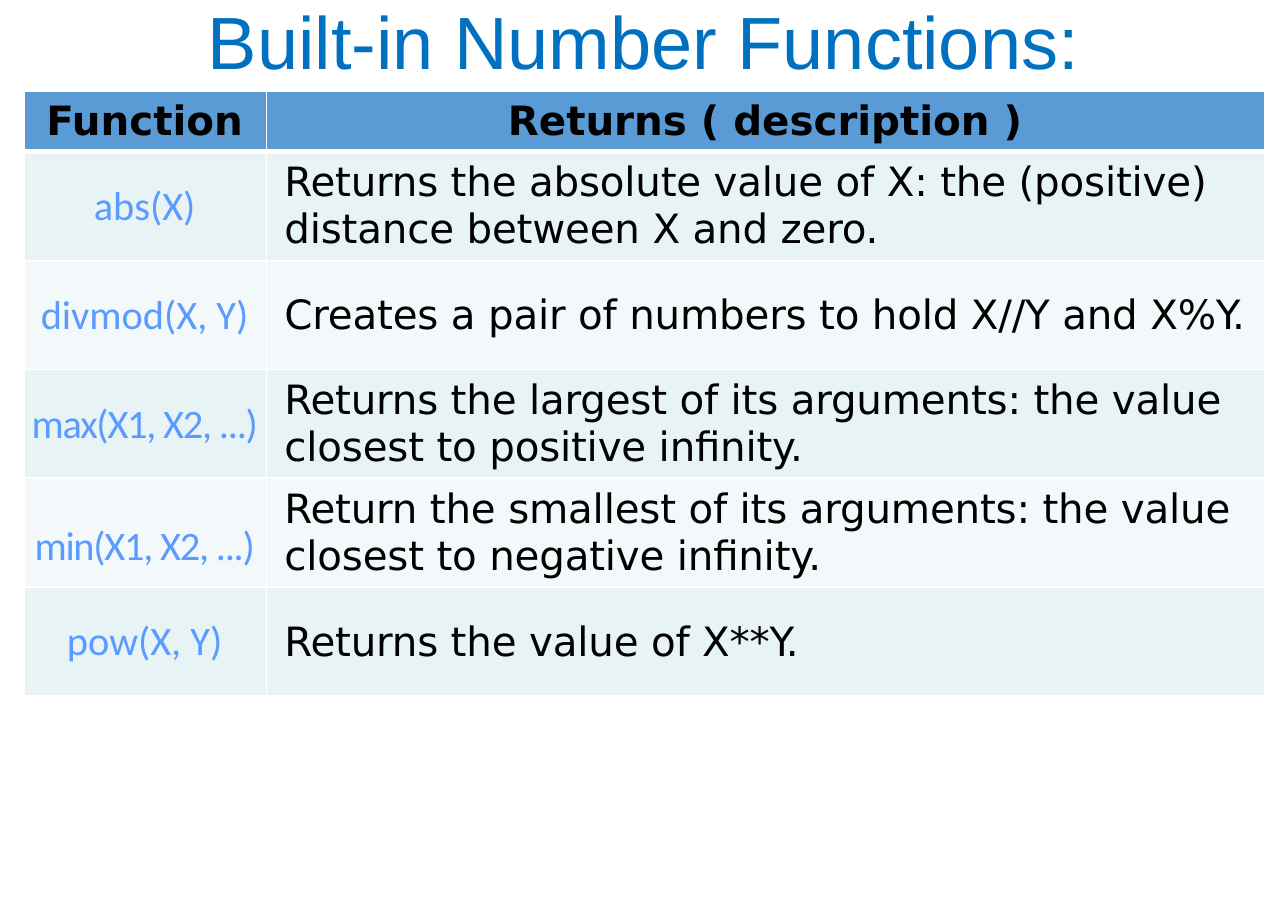
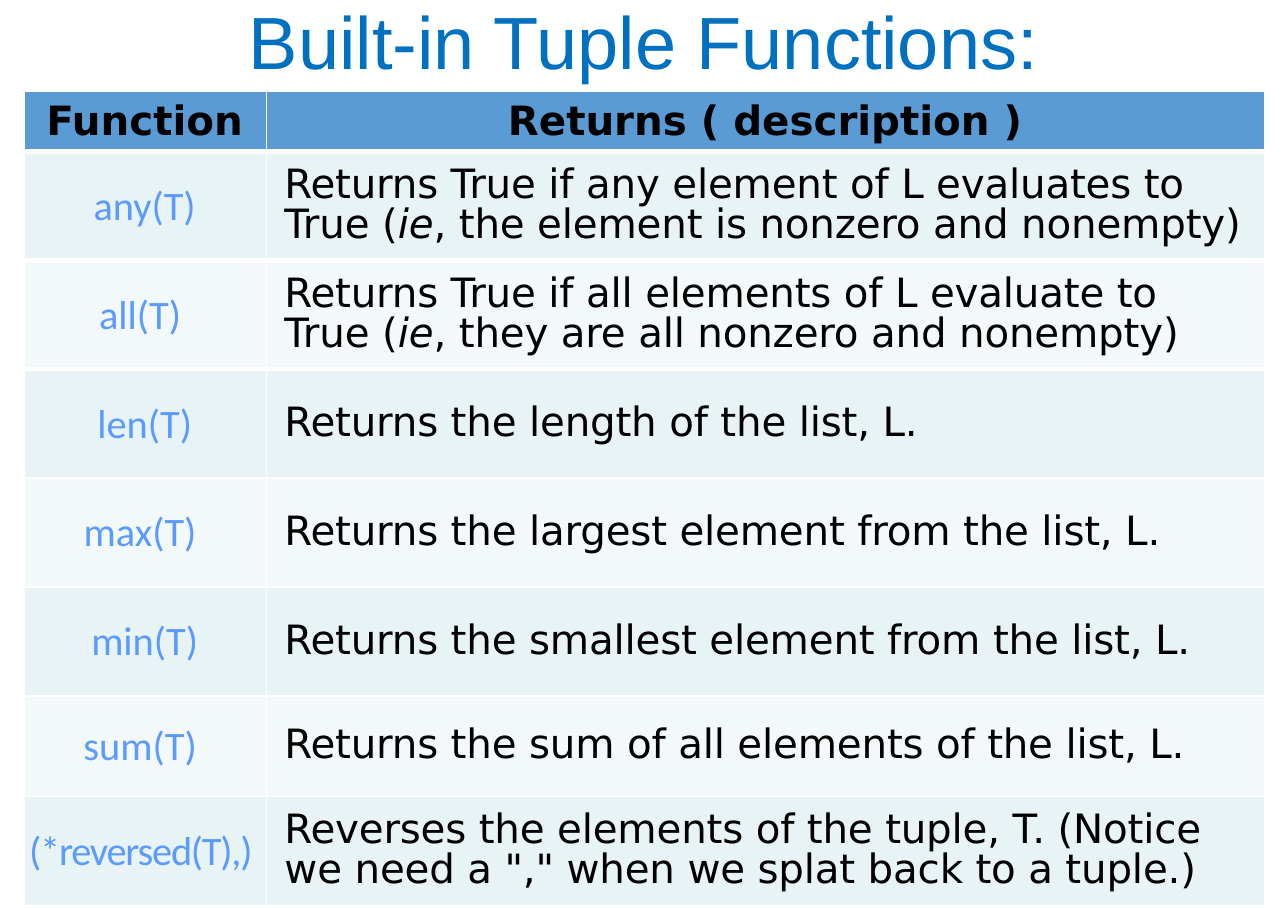
from lxml.etree import SubElement
from pptx import Presentation
from pptx.dml.color import RGBColor
from pptx.enum.text import MSO_ANCHOR as Anchor, PP_ALIGN as Align
from pptx.oxml.ns import qn
from pptx.util import Inches, Pt

HEADINGS = ("Function", "Returns ( description )")
NUMBER_FUNCTIONS = [
    ("abs(X)", "Returns the absolute value of X: the (positive) distance between X and zero."),
    ("divmod(X, Y)", "Creates a pair of numbers to hold X//Y and X%Y."),
    ("max(X1, X2, ...)", "Returns the largest of its arguments: the value closest to positive infinity."),
    ("min(X1, X2, ...)", "Return the smallest of its arguments: the value closest to negative infinity."),
    ("pow(X, Y)", "Returns the value of X**Y."),
]
TUPLE_FUNCTIONS = [
    ("any(T)", "Returns True if any element of L evaluates to True (_ie_, the element is nonzero and nonempty)"),
    ("all(T) ", "Returns True if all elements of L evaluate to\nTrue (_ie_, they are all nonzero and nonempty)"),
    ("len(T)", "Returns the length of the list, L."),
    ("max(T) ", "Returns the largest element from the list, L."),
    ("min(T)", "Returns the smallest element from the list, L."),
    ("sum(T) ", "Returns the sum of all elements of the list, L."),
    ("(*reversed(T),) ", 'Reverses the elements of the tuple, T. (Notice we need a "," when we splat back to a tuple.)'),
]


def color(value):
    """Turn a hex string into a colour."""
    return RGBColor.from_string(value)


class Deck:
    """Hold the shared style and the current slide."""

    UNIT = Inches(0.05)
    BLUE, NAME_BLUE, TITLE_BLUE = "5B9BD5", "5B9BFF", "0070C0"
    BANDS = ("E7F3F4", "F3F9FA")
    BLACK, WHITE = "000000", "FFFFFF"
    COLUMNS = (40, 165)
    HEADER_ROW, BODY_ROW = 10, 18
    TIGHT = -0.75

    def __init__(self):
        """Open a presentation of the shared size."""
        self.presentation = Presentation()
        self.presentation.slide_width = Inches(10.64)
        self.presentation.slide_height = Inches(7.5)

    def grid(self, *cells):
        """Turn grid units into lengths."""
        return [round(cell * self.UNIT) for cell in cells]

    def add_slide(self, title):
        """Start a blank slide with a centred title."""
        self.slide = self.presentation.slides.add_slide(self.presentation.slide_layouts[6])
        frame = self.slide.shapes.add_textbox(*self.grid(1.4, 0, 210, 15)).text_frame
        frame.word_wrap = True
        frame.vertical_anchor = Anchor.MIDDLE
        self.set_text(frame, title, "Arial", 44, self.TITLE_BLUE, line_spacing=0.9)

    def set_text(self, frame, text, font, size, ink, align=Align.CENTER, bold=False, line_spacing=1.0, spacing=0):
        """Fill one paragraph, with italics between underscores."""
        paragraph = frame.paragraphs[0]
        paragraph.alignment = align
        paragraph.line_spacing = line_spacing
        paragraph.font.name = font
        paragraph.font.size = Pt(size)
        paragraph.font.bold = bold
        paragraph.font.color.rgb = color(ink)
        for index, part in enumerate(text.split("_")):
            for number, line in enumerate(part.split("\n")):
                if number:
                    paragraph.add_line_break()
                run = paragraph.add_run()
                run.text = line
                if index % 2:
                    run.font.italic = True
                if spacing:
                    run.font._element.set("spc", str(round(spacing * 100)))

    def style_cell(self, cell, fill, left, top_line, bottom_line):
        """Set the margins, borders and fill of a cell."""
        cell.vertical_anchor = Anchor.MIDDLE
        cell.margin_left = Inches(left)
        cell.margin_top = cell.margin_right = Inches(0.01)
        cell.margin_bottom = 0
        properties = cell._tc.get_or_add_tcPr()
        for side, width in (("L", 1), ("R", 1), ("T", top_line), ("B", bottom_line)):
            line = SubElement(properties, qn(f"a:ln{side}"), w=str(Pt(width)))
            SubElement(SubElement(line, qn("a:solidFill")), qn("a:srgbClr"), val=self.WHITE)
        cell.fill.solid()
        cell.fill.fore_color.rgb = color(fill)

    def add_functions(self, functions, heavy_lines=1, line_spacing=1.0, row_heights=None, lowered=()):
        """Add a banded table of functions under a heading row."""
        heights = [self.HEADER_ROW] + [(row_heights or {}).get(name, self.BODY_ROW) for name, _ in functions]
        shape = self.slide.shapes.add_table(
            len(heights), 2, *self.grid(4, 15, sum(self.COLUMNS), sum(heights)))
        table = shape.table
        table.horz_banding = False
        for column, width in zip(table.columns, self.grid(*self.COLUMNS)):
            column.width = width
        for row, height in zip(table.rows, self.grid(*heights)):
            row.height = height
        for index, texts in enumerate([HEADINGS, *functions]):
            top_line = 3 if 0 < index <= heavy_lines else 1
            bottom_line = 3 if index < heavy_lines else 1
            fill = self.BANDS[(index - 1) % 2] if index else self.BLUE
            for position, text in enumerate(texts):
                cell = table.cell(index, position)
                left = 0.15 if index and position else 0
                self.style_cell(cell, fill, left, top_line, bottom_line)
                if not index:
                    self.set_text(cell.text_frame, text, "DejaVu Sans", 24, self.BLACK, bold=True)
                elif position:
                    self.set_text(cell.text_frame, text, "DejaVu Sans", 24, self.BLACK, Align.LEFT,
                                  line_spacing=line_spacing, spacing=-0.1)
                else:
                    if text in lowered:
                        cell.margin_top = Inches(0.23)
                    self.set_text(cell.text_frame, text, "Calibri", 24, self.NAME_BLUE,
                                  spacing=self.TIGHT if len(text) > 14 else 0)


def main():
    """Build and save both slides."""
    deck = Deck()
    deck.add_slide("Built-in Number Functions:")
    deck.add_functions(NUMBER_FUNCTIONS, lowered=("min(X1, X2, ...)",))
    deck.add_slide("Built-in Tuple Functions:")
    deck.add_functions(TUPLE_FUNCTIONS, heavy_lines=3, line_spacing=0.85, row_heights={"sum(T) ": 16.6})
    deck.presentation.save("out.pptx")


if __name__ == "__main__":
    main()
